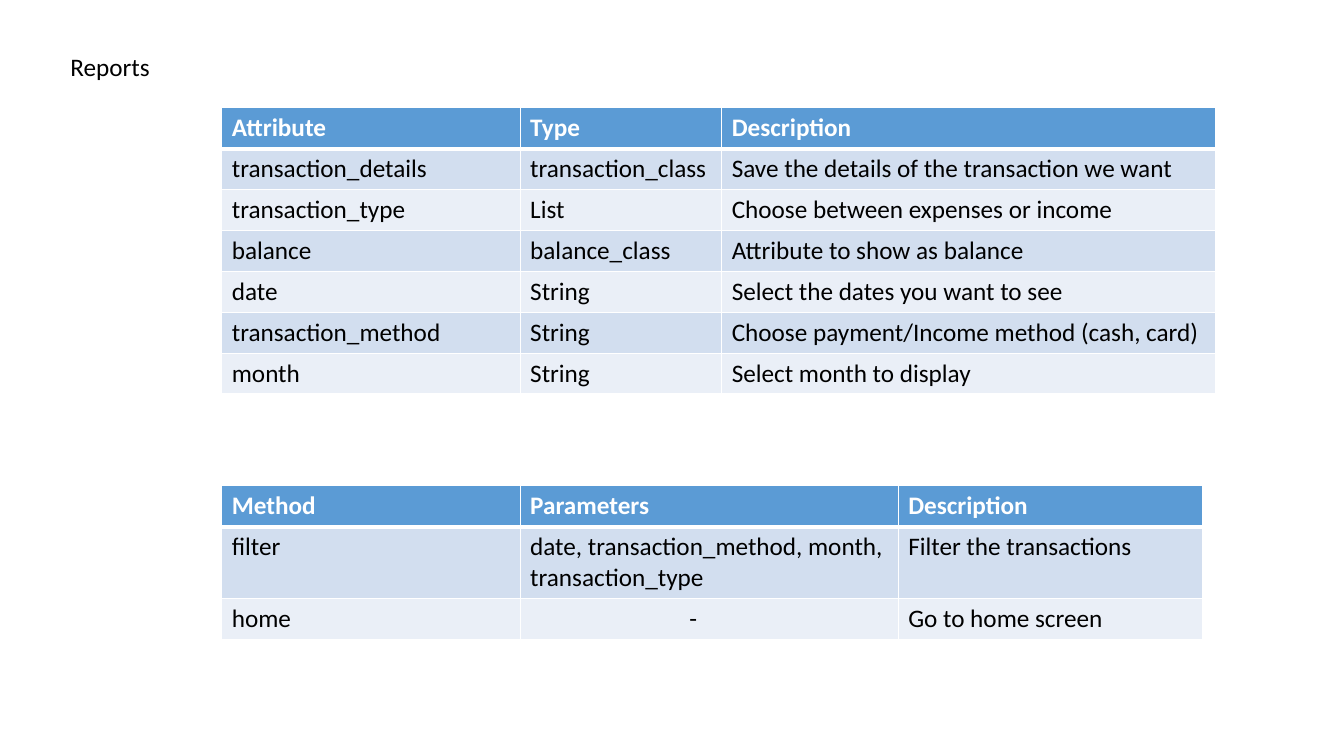
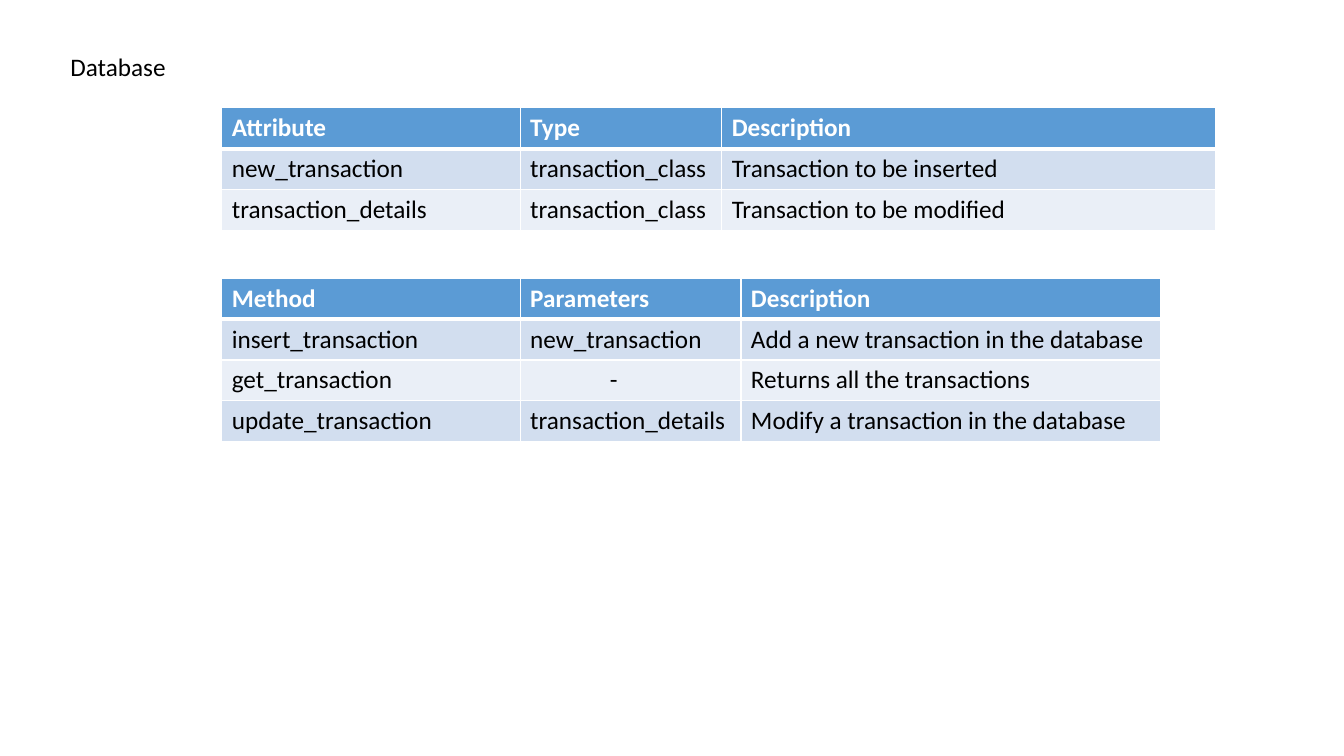
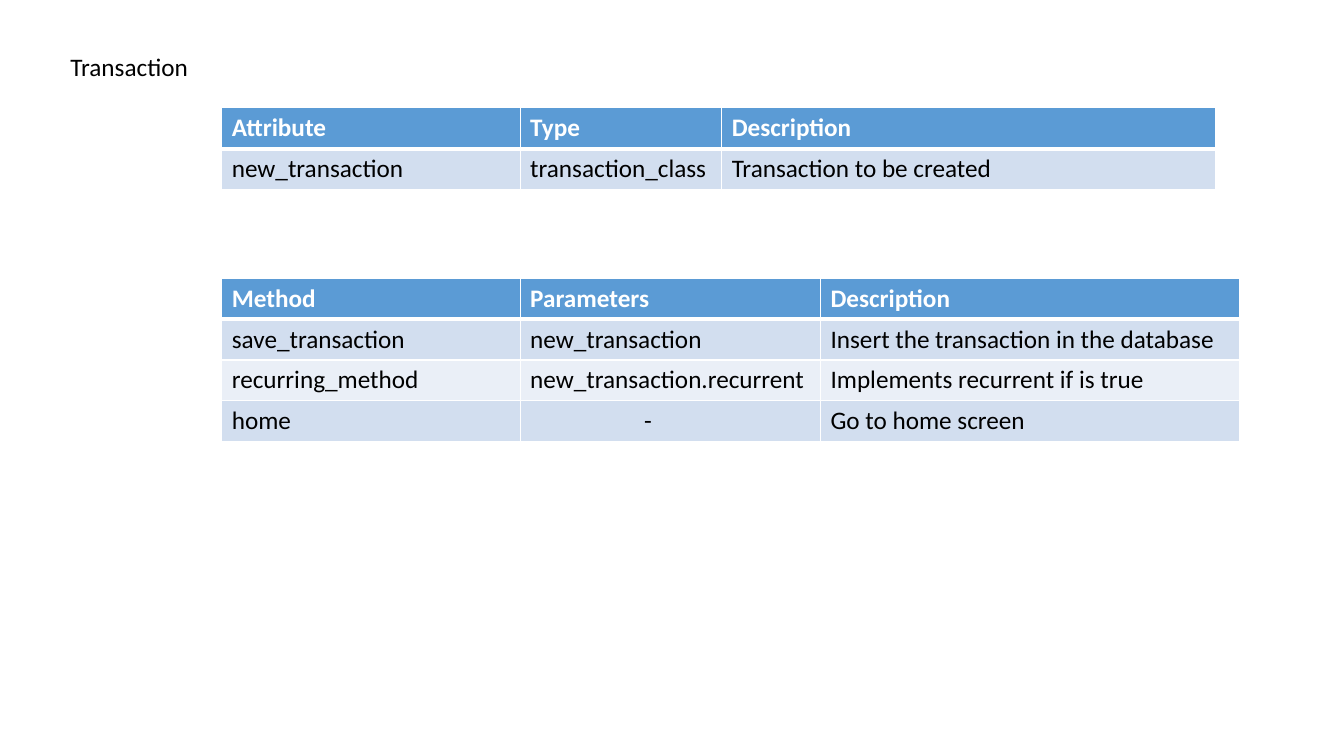
from dataclasses import dataclass
from typing import Any

from lxml.etree import SubElement
from pptx import Presentation
from pptx.dml.color import RGBColor
from pptx.enum.text import MSO_AUTO_SIZE
from pptx.oxml.ns import qn
from pptx.slide import Slide
from pptx.table import _Cell
from pptx.util import Emu, Inches, Pt

SLIDE_WIDTH, SLIDE_HEIGHT = Inches(13.33), Inches(7.5)
WHITE, BLACK = "FFFFFF", "000000"
HEADER_FILL = "5B9BD5"
BAND_FILLS = ("D2DEEF", "EAEFF7")
FONT = {"name": "Calibri", "size": Pt(18)}
HEADER_FONT = FONT | {"bold": True}
BODY_FONT = FONT | {"bold": False}
ROW_HEIGHT = Pt(29.2)
CELL_MARGIN = Inches(0.1)
THIN, THICK = Pt(1), Pt(3)

TITLE_LEFT, TITLE_TOP, TITLE_HEIGHT = 4.5, 6.13, 5.33
TABLE_LEFT = 16.5
NAME_COLUMN = 22.2
ATTRIBUTE_TOP = 14.27
ATTRIBUTE_COLUMNS = (NAME_COLUMN, 15, 36.75)
ATTRIBUTE_HEADER = ("Attribute", "Type", "Description")
METHOD_HEADER = ("Method", "Parameters", "Description")
NO_PARAMETERS = "-"

Row = tuple[str, str, str]


@dataclass(frozen=True)
class MethodTable:
    top: float
    columns: tuple[float, float, float]
    dash_indent: float
    rows: tuple[Row, ...]


@dataclass(frozen=True)
class ClassSlide:
    title: str
    title_width: float
    attributes: tuple[Row, ...]
    methods: MethodTable


CLASS_SLIDES = (
    ClassSlide(
        "Reports", 8.7,
        (
            ("transaction_details", "transaction_class", "Save the details of the transaction we want"),
            ("transaction_type", "List", "Choose between expenses or income"),
            ("balance", "balance_class", "Attribute to show as balance"),
            ("date", "String", "Select the dates you want to see"),
            ("transaction_method", "String", "Choose payment/Income method (cash, card)"),
            ("month", "String", "Select month to display"),
        ),
        MethodTable(64.27, (NAME_COLUMN, 28.13, 22.65), 11.85, (
            ("filter", "date, transaction_method, month, transaction_type", "Filter the transactions"),
            ("home", NO_PARAMETERS, "Go to home screen"),
        )),
    ),
    ClassSlide(
        "Database", 8.7,
        (
            ("new_transaction", "transaction_class", "Transaction to be inserted"),
            ("transaction_details", "transaction_class", "Transaction to be modified"),
        ),
        MethodTable(36.8, (NAME_COLUMN, 16.43, 31.2), 5.93, (
            ("insert_transaction", "new_transaction", "Add a new transaction in the database"),
            ("get_transaction", NO_PARAMETERS, "Returns all the transactions"),
            ("update_transaction", "transaction_details", "Modify a transaction in the database"),
        )),
    ),
    ClassSlide(
        "Transaction", 11.25,
        (("new_transaction", "transaction_class", "Transaction to be created"),),
        MethodTable(36.8, (NAME_COLUMN, 22.35, 31.2), 8.47, (
            ("save_transaction", "new_transaction", "Insert the transaction in the database"),
            ("recurring_method", "new_transaction.recurrent", "Implements recurrent if is true"),
            ("home", NO_PARAMETERS, "Go to home screen"),
        )),
    ),
)


def across(percent: float) -> Emu:
    return Emu(round(SLIDE_WIDTH * percent / 100))


def down(percent: float) -> Emu:
    return Emu(round(SLIDE_HEIGHT * percent / 100))


def color(value: str) -> RGBColor:
    return RGBColor.from_string(value)


def write_text(text_frame: Any, text: str, font_color: str, formats: dict[str, Any]) -> None:
    run = text_frame.paragraphs[0].add_run()
    run.text = text
    for attribute, value in formats.items():
        setattr(run.font, attribute, value)
    run.font.color.rgb = color(font_color)


def add_borders(cell: _Cell, top: int, bottom: int) -> None:
    properties = cell._tc.get_or_add_tcPr()
    widths = {"a:lnL": THIN, "a:lnR": THIN, "a:lnT": top, "a:lnB": bottom}
    for position, (tag, width) in enumerate(widths.items()):
        line = SubElement(properties, qn(tag), w=str(int(width)))
        SubElement(SubElement(line, qn("a:solidFill")), qn("a:srgbClr"), val=WHITE)
        properties.insert(position, line)


def add_class_table(slide: Slide, top: float, columns: tuple[float, ...], header: Row,
                    rows: tuple[Row, ...], dash_indent: float = 0) -> None:
    lines = (header, *rows)
    table = slide.shapes.add_table(
        len(lines), len(columns), across(TABLE_LEFT), down(top),
        across(sum(columns)), ROW_HEIGHT * len(lines),
    ).table
    for column, width in zip(table.columns, columns):
        column.width = across(width)
    for row_index, texts in enumerate(lines):
        is_header = row_index == 0
        table.rows[row_index].height = ROW_HEIGHT
        fill = HEADER_FILL if is_header else BAND_FILLS[(row_index - 1) % 2]
        for column_index, text in enumerate(texts):
            cell = table.cell(row_index, column_index)
            cell.fill.solid()
            cell.fill.fore_color.rgb = color(fill)
            add_borders(cell, THICK if row_index == 1 else THIN, THICK if is_header else THIN)
            if text == NO_PARAMETERS:
                cell.margin_left = CELL_MARGIN + across(dash_indent)
            write_text(cell.text_frame, text, WHITE if is_header else BLACK,
                       HEADER_FONT if is_header else BODY_FONT)


def add_title(slide: Slide, title: str, width: float) -> None:
    text_frame = slide.shapes.add_textbox(
        across(TITLE_LEFT), down(TITLE_TOP), across(width), down(TITLE_HEIGHT)
    ).text_frame
    text_frame.word_wrap = True
    text_frame.auto_size = MSO_AUTO_SIZE.SHAPE_TO_FIT_TEXT
    write_text(text_frame, title, BLACK, FONT)


def main() -> None:
    presentation = Presentation()
    presentation.slide_width, presentation.slide_height = SLIDE_WIDTH, SLIDE_HEIGHT
    for content in CLASS_SLIDES:
        slide = presentation.slides.add_slide(presentation.slide_layouts[6])
        methods = content.methods
        add_class_table(slide, ATTRIBUTE_TOP, ATTRIBUTE_COLUMNS, ATTRIBUTE_HEADER, content.attributes)
        add_class_table(slide, methods.top, methods.columns, METHOD_HEADER, methods.rows, methods.dash_indent)
        add_title(slide, content.title, content.title_width)
    presentation.save("out.pptx")


if __name__ == "__main__":
    main()
